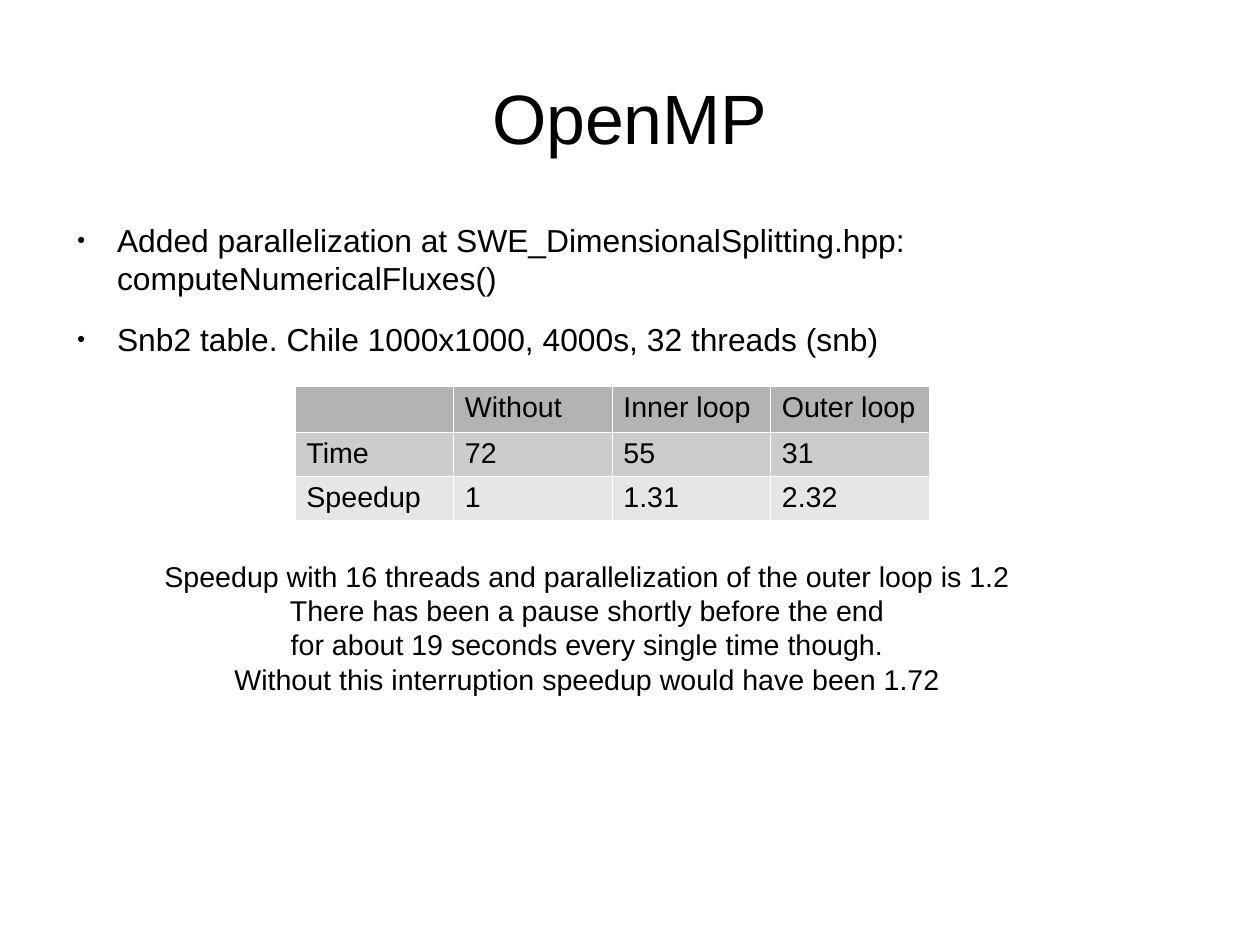
from lxml.etree import SubElement
from pptx import Presentation
from pptx.dml.color import RGBColor
from pptx.enum.text import MSO_ANCHOR, MSO_AUTO_SIZE, PP_ALIGN
from pptx.oxml.ns import qn
from pptx.util import Emu, Pt


def px(length):
    return Emu(length * 8000)


def format_text(frame, size, align=PP_ALIGN.LEFT):
    for para in frame.paragraphs:
        para.alignment = align
        for span in para.runs:
            span.font.name = "Arial"
            span.font.size = Pt(size)
            span.font.color.rgb = RGBColor.from_string("000000")


deck = Presentation()
deck.slide_width, deck.slide_height = px(1260), px(945)
page = deck.slides.add_slide(deck.slide_layouts[1])
title, body = page.shapes.title, page.placeholders[1]

# Title and list
for box, top, height in ((title, 38, 158), (body, 221, 547)):
    box.left, box.top, box.width, box.height = px(63), px(top), px(1134), px(height)
    frame = box.text_frame
    frame.margin_left = frame.margin_right = frame.margin_top = frame.margin_bottom = 0
    frame.word_wrap = True
    frame.auto_size = MSO_AUTO_SIZE.NONE

title.text_frame.text = "OpenMP"
title.text_frame.vertical_anchor = MSO_ANCHOR.MIDDLE
format_text(title.text_frame, 44, PP_ALIGN.CENTER)

body.text_frame.text = (
    "Added parallelization at SWE_DimensionalSplitting.hpp: computeNumericalFluxes()\n"
    "Snb2 table. Chile 1000x1000, 4000s, 32 threads (snb)"
)
body.text_frame.vertical_anchor = MSO_ANCHOR.TOP
format_text(body.text_frame, 20)
for para in body.text_frame.paragraphs:
    para.space_before = Pt(0)
    para.space_after = Pt(14.2)
    properties = para._p.get_or_add_pPr()
    properties.set("marL", str(px(54)))
    properties.set("indent", str(px(-40)))
    bullet_color = SubElement(properties, qn("a:buClr"))
    SubElement(bullet_color, qn("a:srgbClr"), val="000000")
    SubElement(properties, qn("a:buSzPct"), val="45000")
    SubElement(properties, qn("a:buChar"), char="●")

# Timing table
rows = (
    ("B3B3B3", ("", "Without", "Inner loop", "Outer loop")),
    ("CCCCCC", ("Time", "72", "55", "31")),
    ("E6E6E6", ("Speedup", "1", "1.31", "2.32")),
)
table = page.shapes.add_table(3, 4, px(295), px(386), px(634), px(131)).table
table.first_row = table.horz_banding = False
for row, (fill, texts) in enumerate(rows):
    for column, text in enumerate(texts):
        cell = table.cell(row, column)
        cell.text_frame.text = text
        format_text(cell.text_frame, 18)
        cell_properties = cell._tc.get_or_add_tcPr()
        for side in ("a:lnL", "a:lnR", "a:lnT", "a:lnB"):
            border = SubElement(cell_properties, qn(side), w="720")
            border_fill = SubElement(border, qn("a:solidFill"))
            SubElement(border_fill, qn("a:srgbClr"), val="FFFFFF")
        cell.fill.solid()
        cell.fill.fore_color.rgb = RGBColor.from_string(fill)

# Remark below the table
remark = page.shapes.add_textbox(px(153), px(553), px(868), px(139)).text_frame
remark.word_wrap = False
remark.auto_size = MSO_AUTO_SIZE.SHAPE_TO_FIT_TEXT
remark.text = (
    "Speedup with 16 threads and parallelization of the outer loop is 1.2\n"
    "There has been a pause shortly before the end\n"
    "for about 19 seconds every single time though.\n"
    "Without this interruption speedup would have been 1.72"
)
format_text(remark, 18, PP_ALIGN.CENTER)

deck.save("out.pptx")
